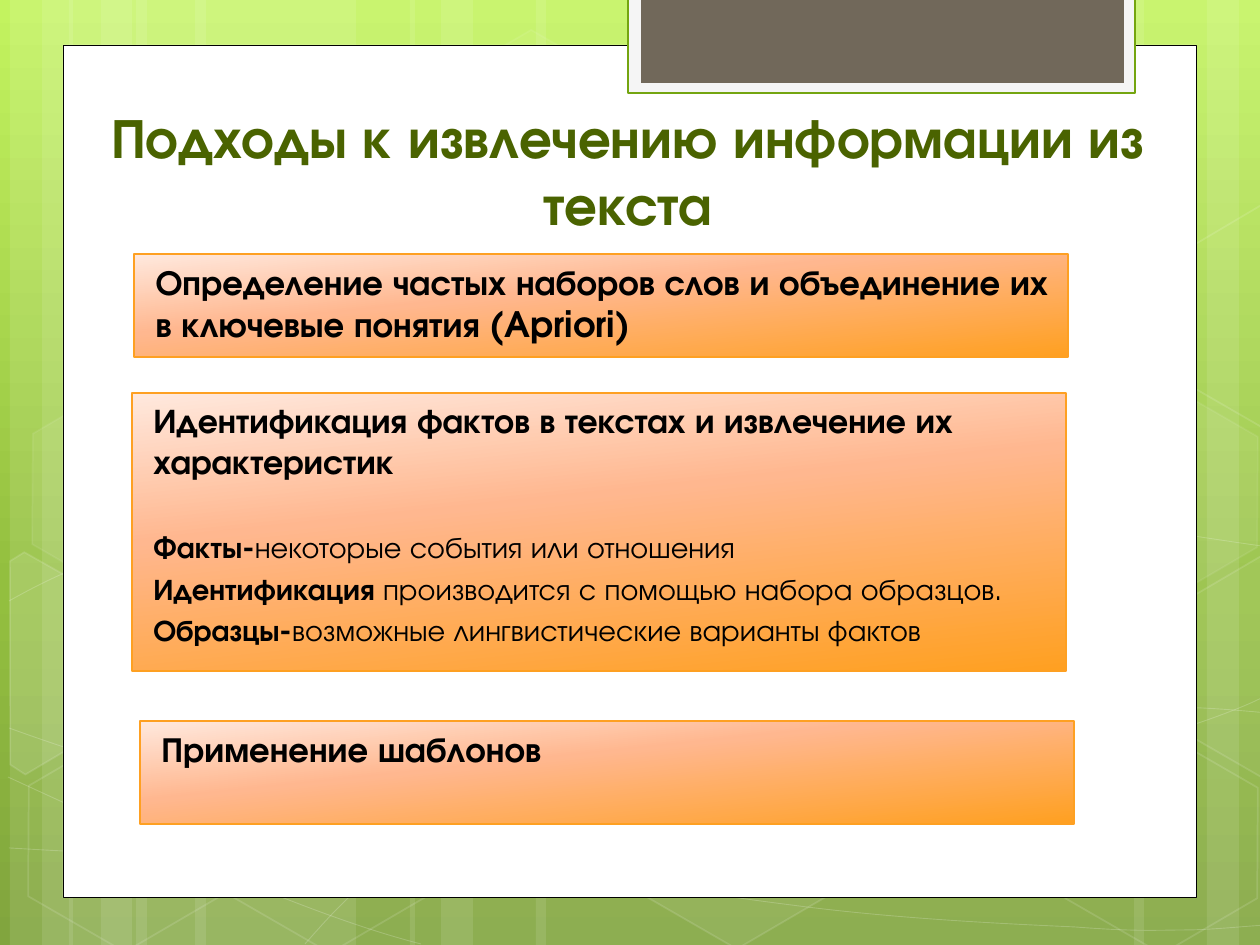
from copy import deepcopy
from math import cos, radians, sin

from lxml.etree import SubElement
from pptx import Presentation
from pptx.dml.color import RGBColor
from pptx.enum.lang import MSO_LANGUAGE_ID as Language
from pptx.enum.shapes import MSO_SHAPE as Preset
from pptx.enum.text import MSO_ANCHOR as Anchor, MSO_AUTO_SIZE as AutoSize, PP_ALIGN as Align
from pptx.oxml.ns import qn
from pptx.util import Pt

EMU_PER_PX = 914400 / 126
WIDTH, HEIGHT = 1260, 945
FONT = "TeX Gyre Adventor"
WHITE = RGBColor(0xFF, 0xFF, 0xFF)
BLACK = RGBColor(0x00, 0x00, 0x00)
TITLE_GREEN = RGBColor(0x4A, 0x63, 0x00)
TAB_GREEN = RGBColor(0x74, 0xA5, 0x10)
TAB_LIGHT = RGBColor(0xF5, 0xF5, 0xF5)
TAB_BROWN = RGBColor(0x71, 0x68, 0x5A)
BOX_LINE = RGBColor(0xFE, 0xA0, 0x22)
BACKGROUND_STOPS = [
    (0, RGBColor(0xC3, 0xF3, 0x5F)),
    (0.62, RGBColor(0x93, 0xBF, 0x3F)),
    (1, RGBColor(0x81, 0xA5, 0x3E)),
]
BOX_STOPS = [
    (0, RGBColor(0xFF, 0xE9, 0xDE)),
    (0.4, RGBColor(0xFF, 0xB7, 0x8F)),
    (1, RGBColor(0xFF, 0xA0, 0x21)),
]


def paint(shape, fill=None, fill_alpha=100, line=None, width=1, line_alpha=100):
    shape.shadow.inherit = False
    for target, color in ((shape.fill, fill), (shape.line.fill, line)):
        if color is None:
            target.background()
        else:
            target.solid()
            target.fore_color.rgb = color
    if line is not None:
        shape.line.width = Pt(width)
    properties = shape._element.spPr
    for location, alpha in (("a:solidFill", fill_alpha), ("a:ln/a:solidFill", line_alpha)):
        for color in properties.xpath(f"{location}/a:srgbClr"):
            if alpha < 100:
                SubElement(color, qn("a:alpha"), val=str(alpha * 1000))


def paint_gradient(fill, element, stops, angle):
    fill.gradient()
    stop_list = next(element.iter(qn("a:gsLst")))
    stop_list.append(deepcopy(stop_list[-1]))
    for stop, (position, color) in zip(fill.gradient_stops, stops):
        stop.position = position
        stop.color.rgb = color
    fill.gradient_angle = 360 - angle


presentation = Presentation()
presentation.slide_width = round(WIDTH * EMU_PER_PX)
presentation.slide_height = round(HEIGHT * EMU_PER_PX)
slide = presentation.slides.add_slide(presentation.slide_layouts[1])
shapes = slide.shapes
paint_gradient(slide.background.fill, slide.element, BACKGROUND_STOPS, 90)

strips = [
    (136, 220), (10, 63), (42, 105), (195, 220), (69, 63), (101, 105),
    (924, 220), (1207, 63), (1134, 105), (536, 388), (410, 63), (441, 105),
]
for left, width in strips:
    strip = shapes.add_shape(
        Preset.RECTANGLE, *[round(v * EMU_PER_PX) for v in (left, 0, width, HEIGHT)]
    )
    paint(strip, WHITE, 10)

curves = [
    [(9, 848), (77, 852), (145, 856), (239, 854), (334, 853), (451, 851), (577, 838),
     (703, 825), (882, 801), (998, 777), (1113, 753), (1231, 716), (1269, 694)],
    [(9, 601), (45, 581), (82, 562), (152, 543), (224, 524), (326, 499), (437, 488),
     (549, 479), (685, 478), (824, 488), (963, 498), (1193, 537), (1269, 547)],
    [(8, 777), (160, 847), (311, 916), (421, 944)],
    [(9, 728), (48, 742), (88, 756), (161, 776), (234, 795), (344, 827), (450, 848),
     (554, 869), (687, 892), (791, 905), (896, 919), (1008, 924), (1075, 927),
     (1140, 932), (1158, 930), (1191, 930), (1223, 929), (1246, 926), (1269, 925)],
    [(305, 944), (328, 918), (350, 893), (381, 871), (412, 848), (454, 823), (489, 805),
     (524, 788), (546, 780), (592, 767), (638, 754), (722, 737), (766, 728),
     (811, 719), (818, 719), (857, 717), (896, 713), (958, 709), (1000, 708),
     (1045, 707), (1116, 708), (1116, 708), (1144, 708), (1173, 708), (1201, 708),
     (1223, 709), (1244, 711), (1256, 712), (1264, 713), (1268, 712), (1268, 713)],
]
for knots in curves:
    builder = shapes.build_freeform(*knots[0], scale=EMU_PER_PX)
    builder.add_line_segments(knots[1:], close=False)
    curve = builder.convert_to_shape()
    outline = next(curve._element.iter(qn("a:path")))
    segments = outline.findall(qn("a:lnTo"))
    for first in range(0, len(segments), 3):
        bezier = SubElement(outline, qn("a:cubicBezTo"))
        for segment in segments[first:first + 3]:
            bezier.append(segment[0])
            outline.remove(segment)
    paint(curve, line=WHITE, width=0.5, line_alpha=20)

hexagons = [
    (421, 45, 4, 8), (626, 742, 6, 12), (14, 745, 0, 12), (18, 393, 7, 8),
    (219, 746, 0, 12), (1051, 747, 0, 12), (1051, 396, 7, 8),
]
for left, top, fill_alpha, line_alpha in hexagons:
    hexagon = shapes.add_shape(
        Preset.HEXAGON, *[round(v * EMU_PER_PX) for v in (left, top, 221, 192)]
    )
    hexagon.adjustments[0] = 0.285
    hexagon.adjustments[1] = 1.155
    hexagon.rotation = 30
    paint(hexagon, WHITE if fill_alpha else None, fill_alpha, WHITE, 1, line_alpha)

cut_hexagons = [
    ((45, 674), [(10, 561), (24, 552), (121, 607), (120, 718), (25, 774), (10, 765)], 10),
    ((1241, 655), [(1167, 611), (1261, 556), (1271, 562), (1271, 772), (1263, 777), (1167, 722)], 4),
    ((1241, 304), [(1167, 261), (1261, 205), (1273, 212), (1271, 422), (1263, 427), (1167, 372)], 0),
]
TILT = radians(30)
for (center_x, center_y), corners, fill_alpha in cut_hexagons:
    upright = [
        (center_x + (x - center_x) * cos(TILT) + (y - center_y) * sin(TILT),
         center_y - (x - center_x) * sin(TILT) + (y - center_y) * cos(TILT))
        for x, y in corners
    ]
    builder = shapes.build_freeform(*upright[0], scale=EMU_PER_PX)
    builder.add_line_segments(upright[1:])
    cut_hexagon = builder.convert_to_shape()
    cut_hexagon.rotation = 30
    paint(cut_hexagon, WHITE if fill_alpha else None, fill_alpha, WHITE, 1, 12)

panels = [
    ((63, 45, 1134, 853), WHITE, BLACK, 0.5),
    ((628, -2, 507, 95), TAB_LIGHT, TAB_GREEN, 1.25),
    ((641, -2, 483, 85), TAB_BROWN, None, 0),
]
for frame, fill, line, width in panels:
    panel = shapes.add_shape(Preset.RECTANGLE, *[round(v * EMU_PER_PX) for v in frame])
    paint(panel, fill, line=line, width=width)

title, body = shapes.title, slide.placeholders[1]
facts = shapes.add_shape(Preset.RECTANGLE, 0, 0, 0, 0)
templates = shapes.add_shape(Preset.RECTANGLE, 0, 0, 0, 0)

text_boxes = [
    (title, (75, 86, 1106, 157), [
        (32, 0, [("Подходы к извлечению информации из текста", True)]),
    ]),
    (body, (134, 254, 934, 103), [
        (20, 4, [("Определение частых наборов слов и объединение их в ключевые понятия (", True),
                 ("Apriori)", True)]),
    ]),
    (facts, (132, 393, 934, 278), [
        (19.6, 4, [("Идентификация фактов в текстах и извлечение их характеристик", True)]),
        (17, 27, [("Факты-", True), ("некоторые события или отношения", False)]),
        (17, 3.4, [("Идентификация ", True), ("производится с помощью набора образцов.", False)]),
        (17, 3.4, [("Образцы-", True), ("возможные лингвистические варианты фактов", False)]),
    ]),
    (templates, (140, 721, 934, 103), [
        (20, 4, [("Применение шаблонов", True)]),
    ]),
]
for shape, frame, lines in text_boxes:
    is_title = shape is title
    for name, value in zip(("left", "top", "width", "height"), frame):
        setattr(shape, name, round(value * EMU_PER_PX))
    shapes._spTree.append(shape._element)
    if not is_title:
        paint(shape, line=BOX_LINE, width=0.75)
        paint_gradient(shape.fill, shape._element, BOX_STOPS, 84)
    text_frame = shape.text_frame
    frame_format = {
        "word_wrap": True,
        "auto_size": AutoSize.NONE,
        "vertical_anchor": Anchor.BOTTOM if is_title else Anchor.TOP,
    }
    for name, value in frame_format.items():
        setattr(text_frame, name, value)
    for index, (size, space, runs) in enumerate(lines):
        paragraph = text_frame.add_paragraph() if index else text_frame.paragraphs[0]
        paragraph.alignment = Align.CENTER if is_title else Align.LEFT
        paragraph.space_before = Pt(space)
        if not is_title:
            properties = paragraph._p.get_or_add_pPr()
            properties.set("marL", str(round(9 * EMU_PER_PX)))
            properties.set("indent", "0")
            SubElement(properties, qn("a:buNone"))
        for text, bold in runs:
            run = paragraph.add_run()
            run.text = text
            run.font.color.rgb = TITLE_GREEN if is_title else BLACK
            language = Language.ENGLISH_US if text.isascii() else Language.RUSSIAN
            run_format = {"name": FONT, "size": Pt(size), "bold": bold, "language_id": language}
            for name, value in run_format.items():
                setattr(run.font, name, value)

presentation.save("out.pptx")
